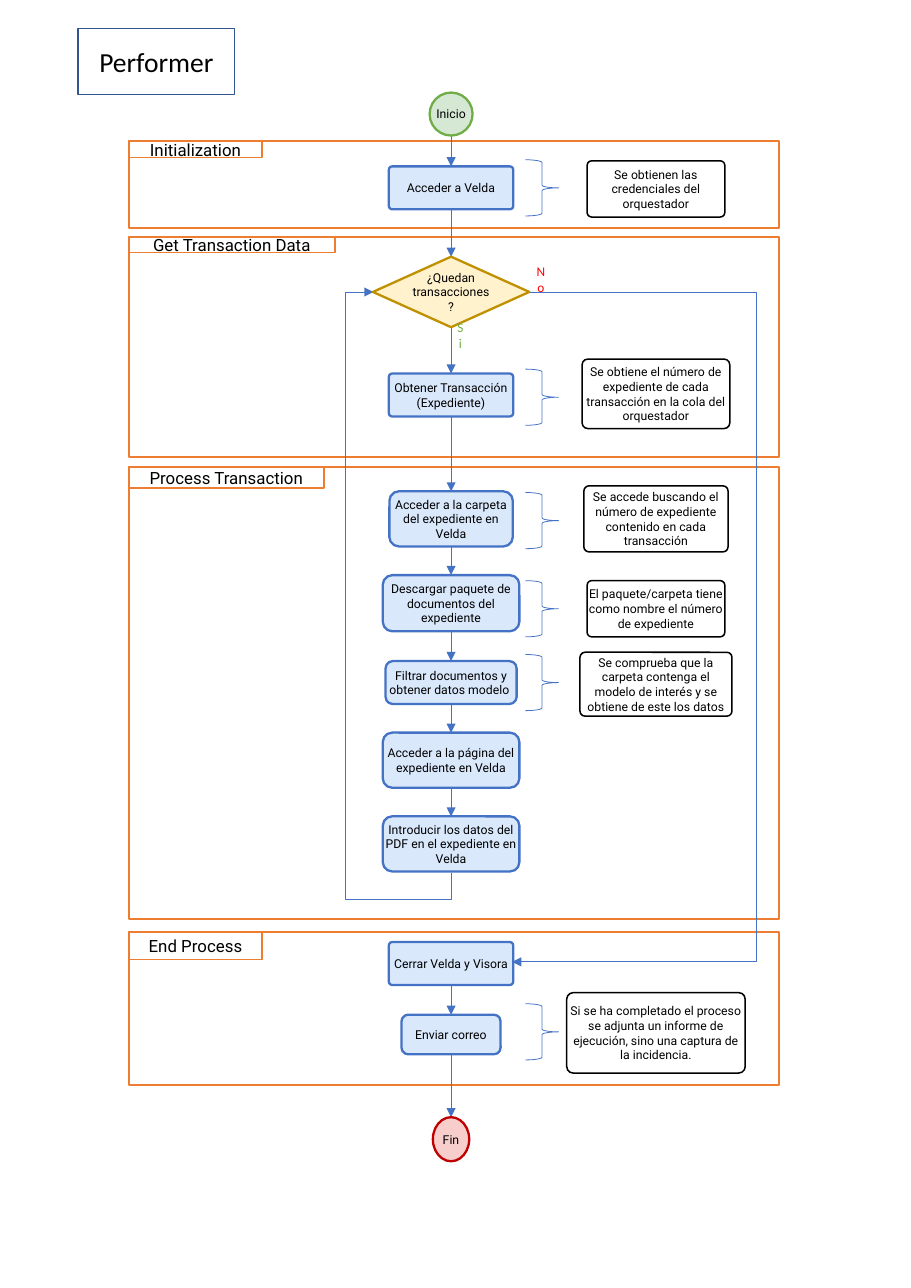
from dataclasses import dataclass
from itertools import pairwise

from lxml.etree import SubElement
from pptx import Presentation
from pptx.dml.color import RGBColor
from pptx.enum.shapes import MSO_CONNECTOR, MSO_SHAPE
from pptx.enum.text import MSO_ANCHOR, PP_ALIGN
from pptx.oxml.ns import qn
from pptx.util import Inches, Pt


@dataclass(frozen=True)
class Theme:
    """Colours, fonts and sizes of the flowchart."""
    ink: str = "000000"
    paper: str = "FFFFFF"
    blue: str = "4472C4"
    pale_blue: str = "DAE8FC"
    navy: str = "325491"
    orange: str = "ED7D31"
    green: str = "70AD47"
    pale_green: str = "D5E8D4"
    gold: str = "BF9000"
    pale_gold: str = "FFF2CC"
    crimson: str = "C00000"
    pale_red: str = "F8CECC"
    red: str = "FF0000"
    body_font: str = "Roboto"
    label_font: str = "Calibri"
    body: float = 8
    answer: float = 8.7
    section: float = 11
    title: float = 18
    thin: float = 0.5
    medium: float = 1
    thick: float = 1.5


class Flowchart:
    """Draws on one slide, on a grid of tenth-inch columns and rows."""

    def __init__(self, s, theme):
        """Keep the slide and its style."""
        self.s, self.t = s, theme

    def grid(self, *cells):
        """Turn grid cells into slide lengths."""
        return [Inches(c / 10) for c in cells]

    def label(self, sp, text, size=None, font=None, color=None, wrap=True):
        """Fill a shape with centred text, one paragraph per line."""
        tf = sp.text_frame
        tf.word_wrap = wrap
        tf.vertical_anchor = MSO_ANCHOR.MIDDLE
        tf.margin_left = tf.margin_right = tf.margin_top = tf.margin_bottom = 0
        for i, line in enumerate(text.split("\n")):
            p = tf.add_paragraph() if i else tf.paragraphs[0]
            p.alignment = PP_ALIGN.CENTER
            r = p.add_run()
            r.text = line
            r.font.size = Pt(size or self.t.body)
            r.font.name = font or self.t.body_font
            r.font.color.rgb = RGBColor.from_string(color or self.t.ink)

    def shape(self, kind, box, line, width, fill=None, radius=None):
        """Add a preset shape with its outline and fill."""
        sp = self.s.shapes.add_shape(kind, *self.grid(*box))
        sp.shadow.inherit = False
        if fill:
            sp.fill.solid()
            sp.fill.fore_color.rgb = RGBColor.from_string(fill)
        else:
            sp.fill.background()
        sp.line.color.rgb = RGBColor.from_string(line)
        sp.line.width = Pt(width)
        if radius:
            sp.adjustments[0] = radius
        return sp

    def title(self, text, box):
        """Add the framed title."""
        sp = self.shape(MSO_SHAPE.RECTANGLE, box, self.t.navy, self.t.medium, self.t.paper)
        self.label(sp, text, self.t.title, self.t.label_font)

    def section(self, text, top, height, tab_width, tab_height):
        """Add a stage frame with its name tab."""
        for w, h, name in ((59, height, ""), (tab_width, tab_height, text)):
            sp = self.shape(MSO_SHAPE.FLOWCHART_PROCESS, (11.7, top, w, h),
                            self.t.orange, self.t.medium)
            if name:
                self.label(sp, name, self.t.section, wrap=False)

    def node(self, text, top, width, height, kind, line, fill, radius=None):
        """Add a flow node centred on the main axis."""
        sp = self.shape(kind, (AXIS - width / 2, top, width, height),
                        line, self.t.thick, fill, radius)
        self.label(sp, text, wrap=kind != MSO_SHAPE.FLOWCHART_CONNECTOR)

    def note(self, text, top, width, height, brace_top):
        """Add a remark and the brace that points to it."""
        sp = self.shape(MSO_SHAPE.ROUNDED_RECTANGLE,
                        (NOTE_AXIS - width / 2, top, width, height),
                        self.t.ink, self.t.medium, self.t.paper, SLIGHT)
        self.label(sp, text)
        brace = self.shape(MSO_SHAPE.LEFT_BRACE, (47.7, brace_top, 3, 5.1),
                           self.t.blue, self.t.thin)
        brace.rotation = 180

    def answer(self, text, box, color):
        """Add the word beside a branch."""
        sp = self.s.shapes.add_textbox(*self.grid(*box))
        self.label(sp, text, self.t.answer, self.t.label_font, color, wrap=False)

    def arrow(self, begin, end, kind=MSO_CONNECTOR.STRAIGHT):
        """Add a connector with an arrowhead at its end."""
        c = self.s.shapes.add_connector(kind, *self.grid(*begin, *end))
        c.line.color.rgb = RGBColor.from_string(self.t.blue)
        c.line.width = Pt(self.t.thin)
        ln = c.element.spPr.find(qn("a:ln"))
        SubElement(ln, qn("a:tailEnd"), type="triangle")
        SubElement(c.element.spPr, qn("a:effectLst"))
        return c

    def detour(self, begin, end, corner, turned=False):
        """Add a bent arrow that reaches out to a corner."""
        shares = [(c - b) / (e - b) for b, e, c in zip(begin, end, corner)]
        if turned:
            x, y = ((b + e) / 2 for b, e in zip(begin, end))
            half_h, half_w = ((b - e) / 2 for b, e in zip(begin, end))
            begin, end = (x + half_w, y - half_h), (x - half_w, y + half_h)
            shares.reverse()
        c = self.arrow(begin, end, MSO_CONNECTOR.ELBOW)
        if turned:
            c.element.spPr.find(qn("a:xfrm")).set("rot", str(90 * 60000))
        geom = c.element.spPr.find(qn("a:prstGeom"))
        geom.set("prst", "bentConnector4")
        guides = geom.find(qn("a:avLst"))
        if guides is None:
            guides = SubElement(geom, qn("a:avLst"))
        for i, share in enumerate(shares, 1):
            SubElement(guides, qn("a:gd"), name=f"adj{i}", fmla=f"val {round(share * 100000)}")

    def chain(self, nodes):
        """Add nodes from top to bottom and join each to the next."""
        for above, below in pairwise(nodes):
            self.arrow((AXIS, above[1] + above[3]), (AXIS, below[1]))
        for node in nodes:
            self.node(*node)


AXIS, NOTE_AXIS = 40.95, 59.55
SLIGHT, ROUND = 0.08, 0.17
t = Theme()
STEP = (MSO_SHAPE.ROUNDED_RECTANGLE, t.blue, t.pale_blue)
SQUARE_STEP, ROUND_STEP = (*STEP, SLIGHT), (*STEP, ROUND)
END = MSO_SHAPE.FLOWCHART_CONNECTOR

SECTIONS = [
    ("Initialization", 12.8, 7.9, 12.1, 1.5),
    ("Get Transaction Data", 21.5, 20, 18.7, 1.4),
    ("Process Transaction", 42.4, 41, 17.7, 1.9),
    ("End Process", 84.6, 13.9, 12.1, 2.5),
]
WORK = [
    ("Inicio", 8.4, 3.9, 3.9, END, t.green, t.pale_green),
    ("Acceder a Velda", 15.1, 11.3, 3.9, *SQUARE_STEP),
    ("¿Quedan transacciones?", 23.3, 14.2, 6.4, MSO_SHAPE.FLOWCHART_DECISION, t.gold, t.pale_gold),
    ("Obtener Transacción\n(Expediente)", 33.9, 11.3, 3.9, *SQUARE_STEP),
    ("Acceder a la carpeta del expediente en Velda", 44.6, 11.2, 5, *ROUND_STEP),
    ("Descargar paquete de documentos del expediente", 52.2, 12.4, 5.1, *ROUND_STEP),
    ("Filtrar documentos y obtener datos modelo ", 60, 11.9, 3.9, *ROUND_STEP),
    ("Acceder a la página del expediente en Velda", 66.5, 12.4, 5, *ROUND_STEP),
    ("Introducir los datos del PDF en el expediente en Velda", 74.1, 12.4, 5, *ROUND_STEP),
]
CLOSING = [
    ("Cerrar Velda y Visora", 85.5, 11.3, 3.9, *SQUARE_STEP),
    ("Enviar correo", 92.1, 9, 3.6, *ROUND_STEP),
    ("Fin", 101.4, 3.3, 4, END, t.crimson, t.pale_red),
]
NOTES = [
    ("Se obtienen las credenciales del orquestador", 14.6, 12.5, 5.1, 14.5),
    ("Se obtiene el número de expediente de cada transacción en la cola del orquestador",
     32.6, 13.4, 6.3, 33.5),
    ("Se accede buscando el número de expediente contenido en cada transacción",
     44.1, 13.1, 6, 44.7),
    ("El paquete/carpeta tiene como nombre el número de expediente", 52.7, 12.5, 5.1, 52.7),
    ("Se comprueba que la carpeta contenga el modelo de interés y se obtiene de este los datos",
     59.2, 13.8, 5.8, 59.4),
    ("Si se ha completado el proceso se adjunta un informe de ejecución, "
     "sino una captura de la incidencia.", 90.1, 16.2, 7.3, 91.1),
]

prs = Presentation()
prs.slide_width, prs.slide_height = Inches(8.27), Inches(11.69)
chart = Flowchart(prs.slides.add_slide(prs.slide_layouts[6]), t)
chart.title("Performer", (7.1, 2.6, 14.2, 6))
for section in SECTIONS:
    chart.section(*section)
chart.detour((48, 26.5), (46.5, 87.3), (68.7, 87.3))
chart.detour((AXIS, 79.2), (33.9, 26.5), (31.4, 81.6), turned=True)
chart.chain(WORK)
chart.chain(CLOSING)
chart.answer("Si", (41.4, 29.7, 0.8, 1.5), t.green)
chart.answer("No", (48.4, 24.6, 1.4, 1.5), t.red)
for note in NOTES:
    chart.note(*note)
prs.save("out.pptx")
